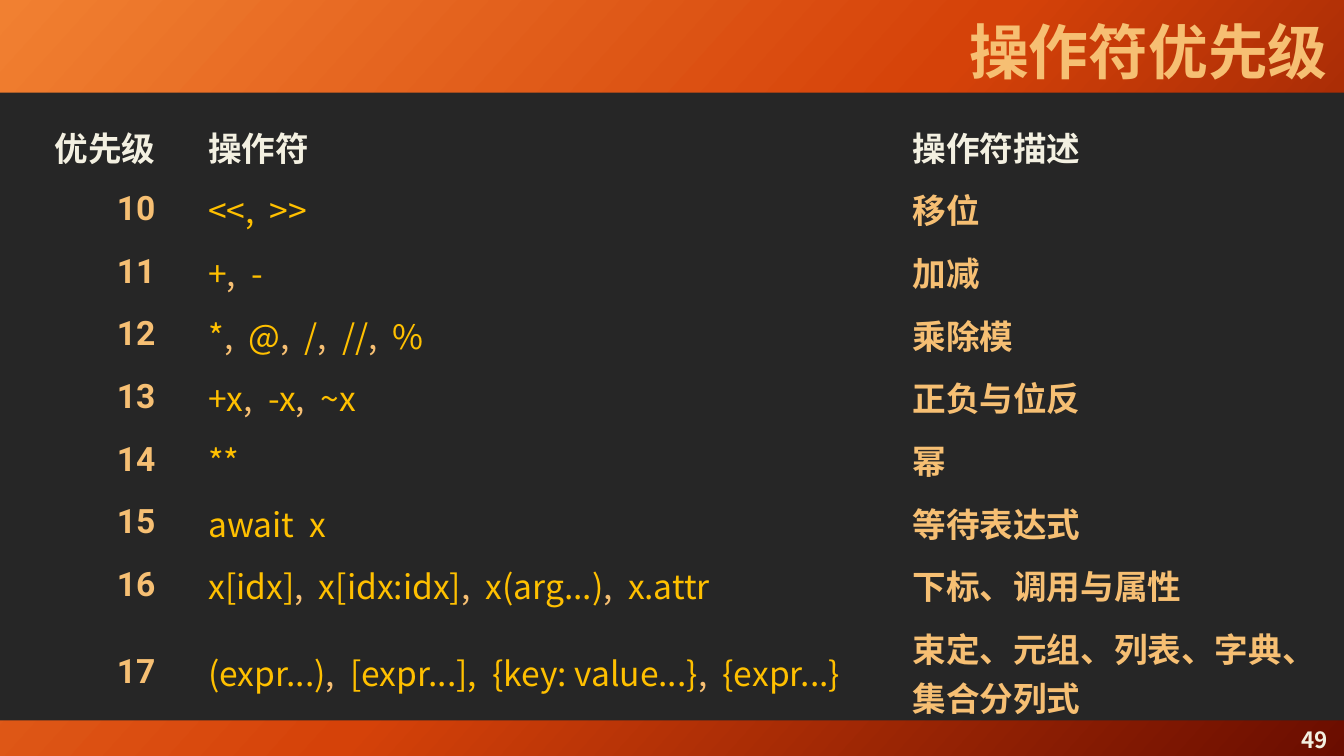
import copy

import pptx
import pptx.dml.color
import pptx.enum.shapes
import pptx.enum.text
import pptx.oxml
import pptx.oxml.ns
import pptx.util

Inches = pptx.util.Inches
Pt = pptx.util.Pt
ALIGN = pptx.enum.text.PP_ALIGN
MIDDLE = pptx.enum.text.MSO_ANCHOR.MIDDLE

COLORS = {"cream": "F3F0E1", "sand": "F6BF73", "gold": "FFC000", "panel": "262626"}
STOPS = [(0, "F18031"), (0.5, "D54209"), (1, "6A0D00")]
JP, SC, ROBOTO = "Noto Sans CJK JP", "Noto Sans CJK SC", "Roboto"
NO_STYLE = "{2D5ABB26-0587-4C30-8999-92F81FD0307C}"

TITLE = "操作符优先级"
PAGE = "49"
HEADS = ["优先级", "操作符", "操作符描述"]
ROWS = [
    ("10", ["<<,  >>"], "移位"),
    ("11", ["+", "-"], "加减"),
    ("12", ["*", "@", "/", "//", "%"], "乘除模"),
    ("13", ["+x", "-x", "~x"], "正负与位反"),
    ("14", ["**"], "幂"),
    ("15", ["await  x"], "等待表达式"),
    ("16", ["x[idx]", "x[idx:idx]", "x(arg...)", "x.attr"], "下标、调用与属性"),
    ("17", ["(expr...)", "[expr...],  {key: value...}", "{expr...}"],
     "束定、元组、列表、字典、\n集合分列式"),
]
WIDE = 10
WIDTHS = [1.55, 5.24, 3.21]
ROW_H = 0.41


def rgb(name):
    return pptx.dml.color.RGBColor.from_string(COLORS.get(name, name))


def add_run(para, text, size, face, color, bold=True):
    for i, line in enumerate(text.split("\n")):
        if i:
            para.add_line_break()
        run = para.add_run()
        run.text = line
        font = run.font
        font.size, font.name, font.bold = Pt(size), face, bold
        font.color.rgb = rgb(color)
        asian = pptx.oxml.parse_xml(
            f'<a:ea {pptx.oxml.ns.nsdecls("a")} typeface="{SC if face == ROBOTO else face}"/>')
        font._element.append(asian)


def add_label(slide, box, text, size, color, pad):
    frame = slide.shapes.add_textbox(*map(Inches, box)).text_frame
    frame.word_wrap = True
    frame.vertical_anchor = MIDDLE
    frame.margin_left = frame.margin_right = Inches(0.04)
    frame.margin_top = frame.margin_bottom = Inches(pad)
    para = frame.paragraphs[0]
    para.alignment = ALIGN.RIGHT
    add_run(para, text, size, JP, color)


def paint_back(slide):
    fill = slide.background.fill
    fill.gradient()
    fill.gradient_angle = 360 - 42
    stops = fill._fill._gradFill.gsLst
    stops.append(copy.deepcopy(stops[-1]))
    for stop, (pos, color) in zip(fill.gradient_stops, STOPS):
        stop.position = pos
        stop.color.rgb = rgb(color)


def add_grid(slide):
    count = len(ROWS) + 1
    frame = slide.shapes.add_table(
        count, len(WIDTHS), 0, Inches(0.84), Inches(WIDE), Inches(ROW_H * count))
    table = frame.table
    table.first_row = table.horz_banding = False
    table._tbl.tblPr.find(pptx.oxml.ns.qn("a:tableStyleId")).text = NO_STYLE
    for col, width in zip(table.columns, WIDTHS):
        col.width = Inches(width)
    for row in table.rows:
        row.height = Inches(ROW_H)
        for c, cell in enumerate(row.cells):
            cell.fill.background()
            cell.vertical_anchor = MIDDLE
            cell.margin_left = 0
            cell.margin_right = 0 if c else pptx.util.Cm(1)
            cell.margin_top, cell.margin_bottom = Pt(5), Pt(2.5)
            cell.text_frame.paragraphs[0].alignment = ALIGN.LEFT if c else ALIGN.RIGHT

    def para(r, c):
        return table.cell(r, c).text_frame.paragraphs[0]

    for c, head in enumerate(HEADS):
        add_run(para(0, c), head, 18, JP, "cream")
    for r, (rank, marks, note) in enumerate(ROWS, 1):
        add_run(para(r, 0), rank, 18, ROBOTO, "sand")
        for i, mark in enumerate(marks):
            if i:
                add_run(para(r, 1), ",  ", 18, SC, "sand", False)
            add_run(para(r, 1), mark, 18, SC, "gold", False)
        add_run(para(r, 2), note, 18, ROBOTO, "sand")


def main():
    deck = pptx.Presentation()
    deck.slide_width, deck.slide_height = Inches(WIDE), Inches(WIDE * 9 / 16)
    slide = deck.slides.add_slide(deck.slide_layouts[6])
    paint_back(slide)
    panel = slide.shapes.add_shape(
        pptx.enum.shapes.MSO_SHAPE.RECTANGLE, 0, Inches(0.69), Inches(WIDE), Inches(4.67))
    panel.shadow.inherit = False
    panel.fill.solid()
    panel.fill.fore_color.rgb = rgb("panel")
    panel.line.fill.background()
    add_grid(slide)
    add_label(slide, (0.08, 0, 9.84, 0.75), TITLE, 32, "sand", 0.04)
    add_label(slide, (8.97, 5.39, 0.95, 0.22), PAGE, 12, "cream", 0)
    deck.save("out.pptx")


if __name__ == "__main__":
    main()
